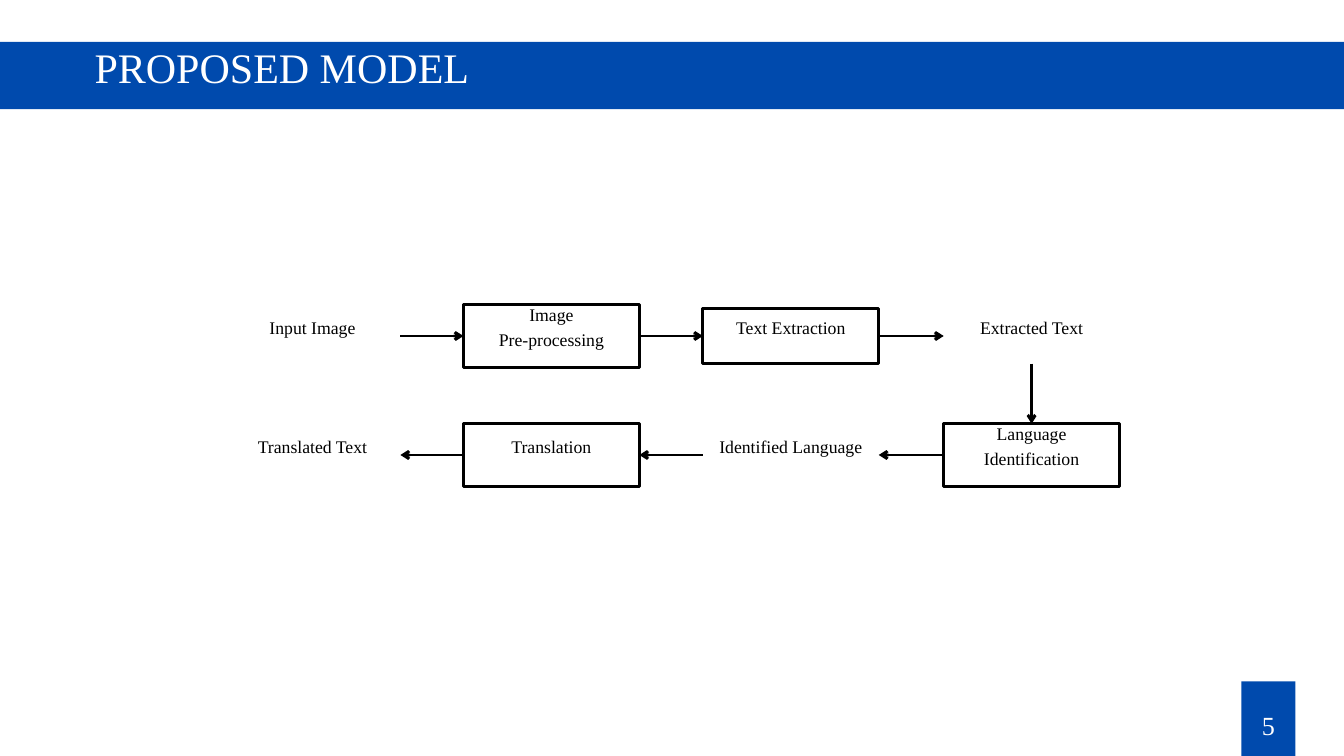
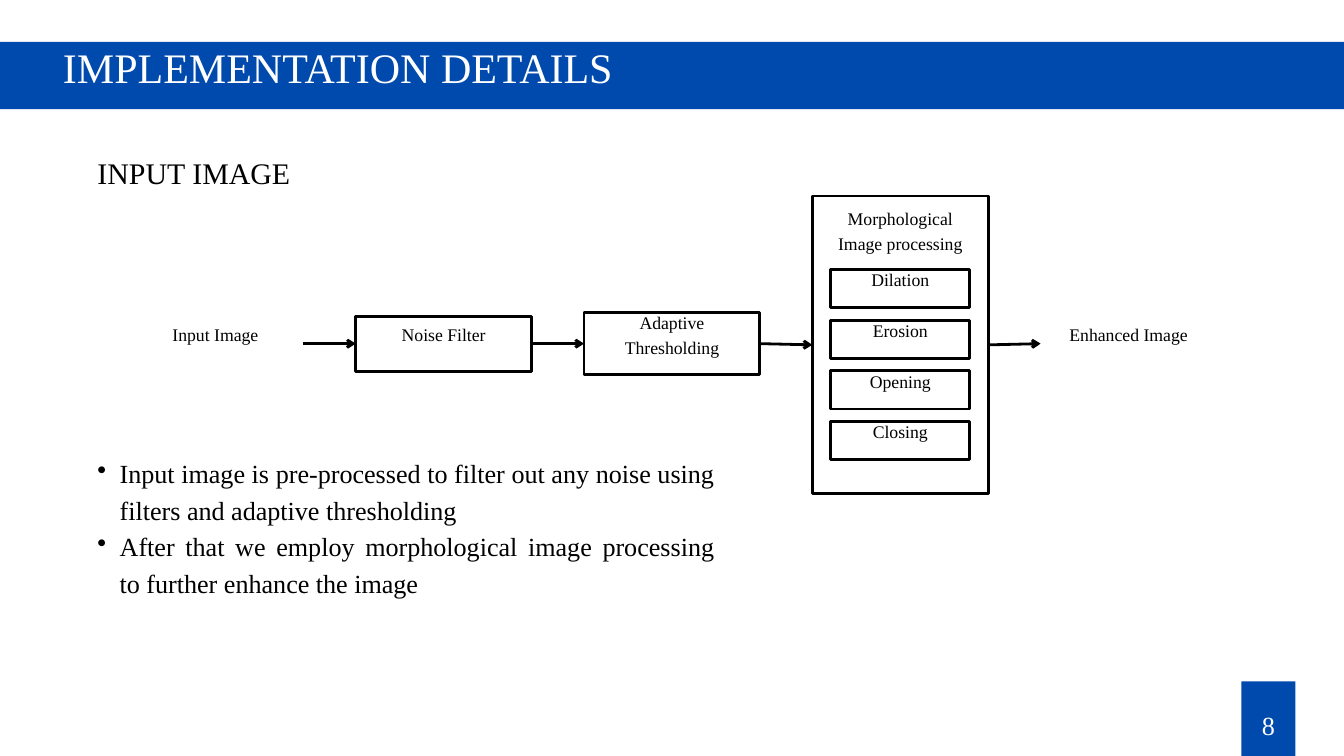
from itertools import pairwise

from lxml import etree
from pptx import Presentation
from pptx.dml.color import RGBColor
from pptx.enum import shapes, text
from pptx.oxml.ns import qn
from pptx.util import Pt

BLUE, WHITE, BLACK = "004AAD", "FFFFFF", "000000"
FONT = "Times New Roman"
SLIDE_WIDTH, SLIDE_HEIGHT = 1440, 810
BOX_WIDTH, LOW_BOX, TALL_BOX = 188.4, 59, 67
TEXT_LIFT = 22.6
INSET = 4.3
TOP, LEFT, BOTTOM, RIGHT = range(4)
ALIGN = text.PP_ALIGN


def color(hex_string):
    """Turn a hex string into a colour."""
    return RGBColor.from_string(hex_string)


def write(shape, lines, size, spacing, ink=BLACK, align=ALIGN.CENTER,
          anchor=text.MSO_ANCHOR.TOP, insets=(0, 0, 0, 0)):
    """Fill a shape with paragraphs that share one format."""
    frame = shape.text_frame
    frame.auto_size = text.MSO_AUTO_SIZE.NONE
    frame.word_wrap = True
    frame.vertical_anchor = anchor
    frame.margin_top, frame.margin_left, frame.margin_bottom, frame.margin_right = map(Pt, insets)
    frame.text = "\n".join(lines)
    for paragraph in frame.paragraphs:
        paragraph.alignment = align
        paragraph.line_spacing = Pt(spacing)
        paragraph.font.size = Pt(size)
        paragraph.font.name = FONT
        paragraph.font.color.rgb = color(ink)
    return frame


def add_rectangle(slide, left, top, width, height, fill=WHITE, outline=None):
    """Add a flat rectangle, outlined on request."""
    shape = slide.shapes.add_shape(shapes.MSO_SHAPE.RECTANGLE,
                                   Pt(left), Pt(top), Pt(width), Pt(height))
    shape.shadow.inherit = False
    shape.fill.solid()
    shape.fill.fore_color.rgb = color(fill)
    if outline:
        shape.line.color.rgb = color(outline)
        shape.line.width = Pt(3)
    else:
        shape.line.fill.background()
    return shape


def add_node(slide, lines, left, middle, height=LOW_BOX, outline=BLACK, width=BOX_WIDTH):
    """Add a diagram node centred on a height, its words raised a little."""
    node = add_rectangle(slide, left, middle - height / 2, width, height, outline=outline)
    write(node, lines, 19, 26.6, anchor=text.MSO_ANCHOR.MIDDLE,
          insets=(0, INSET, TEXT_LIFT, INSET))
    return node


def add_arrow(slide, start, end, start_side=RIGHT, end_side=LEFT):
    """Join two nodes with an arrow."""
    arrow = slide.shapes.add_connector(shapes.MSO_CONNECTOR.STRAIGHT, 0, 0, 0, 0)
    arrow.begin_connect(start, start_side)
    arrow.end_connect(end, end_side)
    arrow.line.color.rgb = color(BLACK)
    arrow.line.width = Pt(3)
    properties = arrow.element.spPr
    etree.SubElement(properties.find(qn("a:ln")), qn("a:tailEnd"), type="arrow")
    etree.SubElement(properties, qn("a:effectLst"))


def add_text(slide, lines, left, top, width, height, size, spacing):
    """Add a justified text box."""
    box = slide.shapes.add_textbox(Pt(left), Pt(top), Pt(width), Pt(height))
    return write(box, lines, size, spacing, align=ALIGN.JUSTIFY)


def add_bullets(slide, lines, left, top, width, height):
    """Add a justified bullet list."""
    frame = add_text(slide, lines, left, top, width, height, 28, 39.2)
    for paragraph in frame.paragraphs:
        properties = paragraph._p.get_or_add_pPr()
        properties.set("marL", str(Pt(23.8)))
        properties.set("indent", str(-Pt(23.8)))
        etree.SubElement(properties, qn("a:buChar"), char="•")


def add_page(presentation, title_text, title_left, number):
    """Start a slide with its title band and page number."""
    slide = presentation.slides.add_slide(presentation.slide_layouts[5])
    title = slide.shapes.title
    title.left, title.top = Pt(title_left), Pt(35.3)
    title.width, title.height = Pt(SLIDE_WIDTH - title_left), Pt(68)
    write(title, [title_text], 45, 63, WHITE, ALIGN.LEFT)
    band = add_rectangle(slide, 0, 45, SLIDE_WIDTH, 72, BLUE)
    title.element.addprevious(band.element)
    tab = add_rectangle(slide, 1330, 730, 58, SLIDE_HEIGHT - 730, BLUE)
    write(tab, [str(number)], 28, 39.2, WHITE, insets=(24, 0, 0, 0))
    return slide


def add_model_flow(slide, left, middle):
    """Draw the model as a row to the right and a row back to the left."""
    columns = [left + offset for offset in (0, 256, 512.5, 770.5)]
    upper = [(["Input Image"], LOW_BOX, None),
             (["Image", "Pre-processing"], TALL_BOX, BLACK),
             (["Text Extraction"], LOW_BOX, BLACK),
             (["Extracted Text"], LOW_BOX, None)]
    lower = [(["Translated Text"], LOW_BOX, None),
             (["Translation"], TALL_BOX, BLACK),
             (["Identified Language"], LOW_BOX, None),
             (["Language Identification"], TALL_BOX, BLACK)]
    upper_nodes, lower_nodes = [
        [add_node(slide, lines, column, row_middle, height, outline)
         for column, (lines, height, outline) in zip(columns, row)]
        for row, row_middle in ((upper, middle), (lower, middle + 127.5))]
    for start, end in pairwise(upper_nodes):
        add_arrow(slide, start, end)
    add_arrow(slide, upper_nodes[-1], lower_nodes[-1], BOTTOM, TOP)
    for start, end in pairwise(reversed(lower_nodes)):
        add_arrow(slide, start, end, LEFT, RIGHT)


def add_morphology(slide, left, top):
    """Draw the morphology frame with its heading and four operations."""
    height = 319
    frame = add_rectangle(slide, left, top, BOX_WIDTH, height, outline=BLACK)
    add_node(slide, ["Morphological", "Image processing"], left + 5.7, top + 47.2, 61, None, 177)
    for index, operation in enumerate(("Dilation", "Erosion", "Opening", "Closing")):
        add_node(slide, [operation], left + 19.7, top + 99.3 + index * 54.2, 41, width=149)
    return frame


def add_enhancement_flow(slide, left, middle):
    """Draw the image enhancement steps in evenly spaced columns."""
    columns = [left + index * 244.6 for index in range(5)]
    steps = [
        add_node(slide, ["Input Image"], columns[0], middle, outline=None),
        add_node(slide, ["Noise Filter"], columns[1], middle),
        add_node(slide, ["Adaptive", "Thresholding"], columns[2], middle, TALL_BOX),
        add_morphology(slide, columns[3], middle - 158.2),
        add_node(slide, ["Enhanced Image"], columns[4], middle, outline=None)]
    for start, end in pairwise(steps):
        add_arrow(slide, start, end)


def build_model_slide(presentation):
    """Build the proposed model slide."""
    slide = add_page(presentation, "PROPOSED MODEL", 101.3, 5)
    add_model_flow(slide, 240.6, 360)


def build_implementation_slide(presentation):
    """Build the implementation details slide."""
    slide = add_page(presentation, "IMPLEMENTATION DETAILS", 67.5, 8)
    add_text(slide, ["INPUT IMAGE"], 104.4, 124, 685, 75, 32, 80)
    add_enhancement_flow(slide, 136.6, 368.2)
    add_bullets(slide, [
        "Input image is pre-processed to filter out any noise using filters"
        " and adaptive thresholding",
        "After that we employ morphological image processing to further enhance the image",
    ], 104.4, 484.6, 661, 159)


def main():
    """Build and save the presentation."""
    presentation = Presentation()
    presentation.slide_width, presentation.slide_height = Pt(SLIDE_WIDTH), Pt(SLIDE_HEIGHT)
    build_model_slide(presentation)
    build_implementation_slide(presentation)
    presentation.save("out.pptx")


if __name__ == "__main__":
    main()
